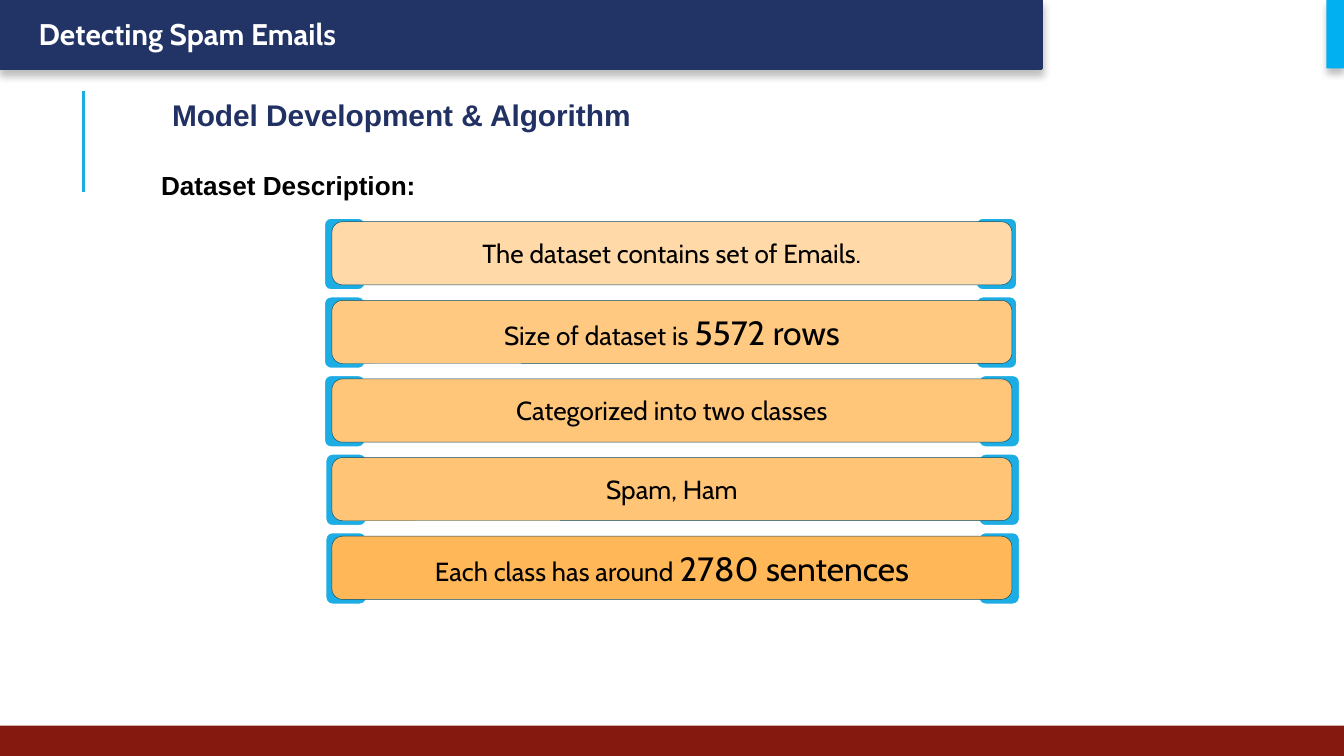
from dataclasses import dataclass

import pptx
import pptx.dml.color
import pptx.enum.shapes
import pptx.enum.text
import pptx.oxml
import pptx.oxml.ns
import pptx.util
from pptx.util import Inches

NAVY, RED, CYAN, TAB_BLUE = "223366", "851910", "00B0F0", "1CADE4"
RECTANGLE = pptx.enum.shapes.MSO_SHAPE.RECTANGLE
ROUNDED = pptx.enum.shapes.MSO_SHAPE.ROUNDED_RECTANGLE
FIRST_CARD_TOP, LAST_CARD_TOP = 1.65, 3.99
CARD_LEFT, CARD_WIDTH, CARD_HEIGHT = 2.47, 5.06, 0.47
TAB_WIDTH, TAB_HEIGHT, TAB_RISE = 0.31, 0.54, 0.03


@dataclass
class Run:
    text: str
    size: float = 14
    font: str = "Cabin"
    color: str = "000000"
    bold: bool = False


@dataclass
class Card:
    fill: str
    left_tab: float
    right_tab: float
    runs: list[Run]


CARDS = [
    Card("FFD9A7", 2.41, 7.26, [Run("The dataset contains set of Emails.")]),
    Card("FFC981", 2.41, 7.26, [Run("Size of dataset is "), Run("5572 rows", 18)]),
    Card("FFC679", 2.41, 7.28, [Run("Categorized into two classes")]),
    Card("FFC475", 2.42, 7.28, [Run("Spam, Ham")]),
    Card("FFB757", 2.42, 7.28, [Run("Each class has around "), Run("2780 sentences", 18)]),
]


def rgb(color: str) -> pptx.dml.color.RGBColor:
    return pptx.dml.color.RGBColor.from_string(color)


def add_box(slide, kind, left: float, top: float, width: float, height: float,
            fill: str, line: str | None = None, line_width: float = 1.25):
    shape = slide.shapes.add_shape(kind, Inches(left), Inches(top), Inches(width), Inches(height))
    shape.shadow.inherit = False
    shape.fill.solid()
    shape.fill.fore_color.rgb = rgb(fill)
    if line:
        shape.line.color.rgb = rgb(line)
        shape.line.width = pptx.util.Pt(line_width)
    else:
        shape.line.fill.background()
    return shape


def add_shadow(shape) -> None:
    """Soft black shadow falling straight down."""
    effects = shape._element.spPr.find(pptx.oxml.ns.qn("a:effectLst"))
    effects.append(pptx.oxml.parse_xml(
        f'<a:outerShdw {pptx.oxml.ns.nsdecls("a")} blurRad="50800" dist="38100" '
        'dir="5400000" algn="t" rotWithShape="0">'
        '<a:srgbClr val="000000"><a:alpha val="25000"/></a:srgbClr></a:outerShdw>'))


def write_text(shape, runs: list[Run], align=pptx.enum.text.PP_ALIGN.LEFT,
               anchor=pptx.enum.text.MSO_ANCHOR.TOP, inset: float = 0.1) -> None:
    frame = shape.text_frame
    frame.word_wrap = True
    frame.auto_size = pptx.enum.text.MSO_AUTO_SIZE.NONE
    frame.vertical_anchor = anchor
    frame.margin_top = frame.margin_bottom = Inches(inset)
    frame.margin_left = frame.margin_right = Inches(0.1)
    paragraph = frame.paragraphs[0]
    paragraph.alignment = align
    for item in runs:
        run = paragraph.add_run()
        run.text = item.text
        run.font.size = pptx.util.Pt(item.size)
        run.font.name = item.font
        run.font.bold = item.bold
        run.font.color.rgb = rgb(item.color)


def add_label(slide, left: float, top: float, width: float, height: float,
              run: Run, inset: float = 0.1) -> None:
    label = slide.shapes.add_textbox(Inches(left), Inches(top), Inches(width), Inches(height))
    write_text(label, [run], inset=inset)


def add_frame(slide) -> None:
    rule = slide.shapes.add_connector(pptx.enum.shapes.MSO_CONNECTOR.STRAIGHT,
                                      Inches(0.62), Inches(1.43), Inches(0.62), Inches(0.68))
    rule.line.color.rgb = rgb(TAB_BLUE)
    rule.line.width = pptx.util.Pt(1.5)
    rule._element.spPr.append(pptx.oxml.parse_xml(
        f'<a:effectLst {pptx.oxml.ns.nsdecls("a")}/>'))
    add_shadow(add_box(slide, RECTANGLE, 0, 0, 7.75, 0.51, NAVY, NAVY))
    add_box(slide, RECTANGLE, 0, 5.4, 10, 0.23, RED)
    add_label(slide, 0.14, 0.07, 4.25, 0.37,
              Run(" Detecting Spam Emails", 16, color="FFFFFF", bold=True), inset=0.05)
    add_shadow(add_box(slide, RECTANGLE, 9.87, 0, 0.13, 0.51, CYAN))


def add_card(slide, card: Card, top: float) -> None:
    for left in (card.left_tab, card.right_tab):
        add_box(slide, ROUNDED, left, top - TAB_RISE, TAB_WIDTH, TAB_HEIGHT, TAB_BLUE, "FFFFFF")
    body = add_box(slide, ROUNDED, CARD_LEFT, top, CARD_WIDTH, CARD_HEIGHT,
                   card.fill, "0C4C64", 0.25)
    write_text(body, card.runs, pptx.enum.text.PP_ALIGN.CENTER,
               pptx.enum.text.MSO_ANCHOR.MIDDLE, inset=0.05)


def main() -> None:
    presentation = pptx.Presentation()
    presentation.slide_width = Inches(10)
    presentation.slide_height = Inches(10 * 9 / 16)
    slide = presentation.slides.add_slide(presentation.slide_layouts[5])

    # Header, footer and accent line
    add_frame(slide)

    # Title and subheading
    title = slide.shapes.title
    title.left, title.top = Inches(1.18), Inches(0.62)
    title.width, title.height = Inches(3.82), Inches(0.47)
    write_text(title, [Run("Model Development & Algorithm", 16, "Arial", "213163", True)])
    add_label(slide, 1.1, 1.16, 3.84, 0.55,
              Run("Dataset Description:", 14, "Arial", bold=True))

    # Stack of dataset facts, evenly spaced
    pitch = (LAST_CARD_TOP - FIRST_CARD_TOP) / (len(CARDS) - 1)
    for index, card in enumerate(CARDS):
        add_card(slide, card, FIRST_CARD_TOP + index * pitch)

    presentation.save("out.pptx")


if __name__ == "__main__":
    main()
